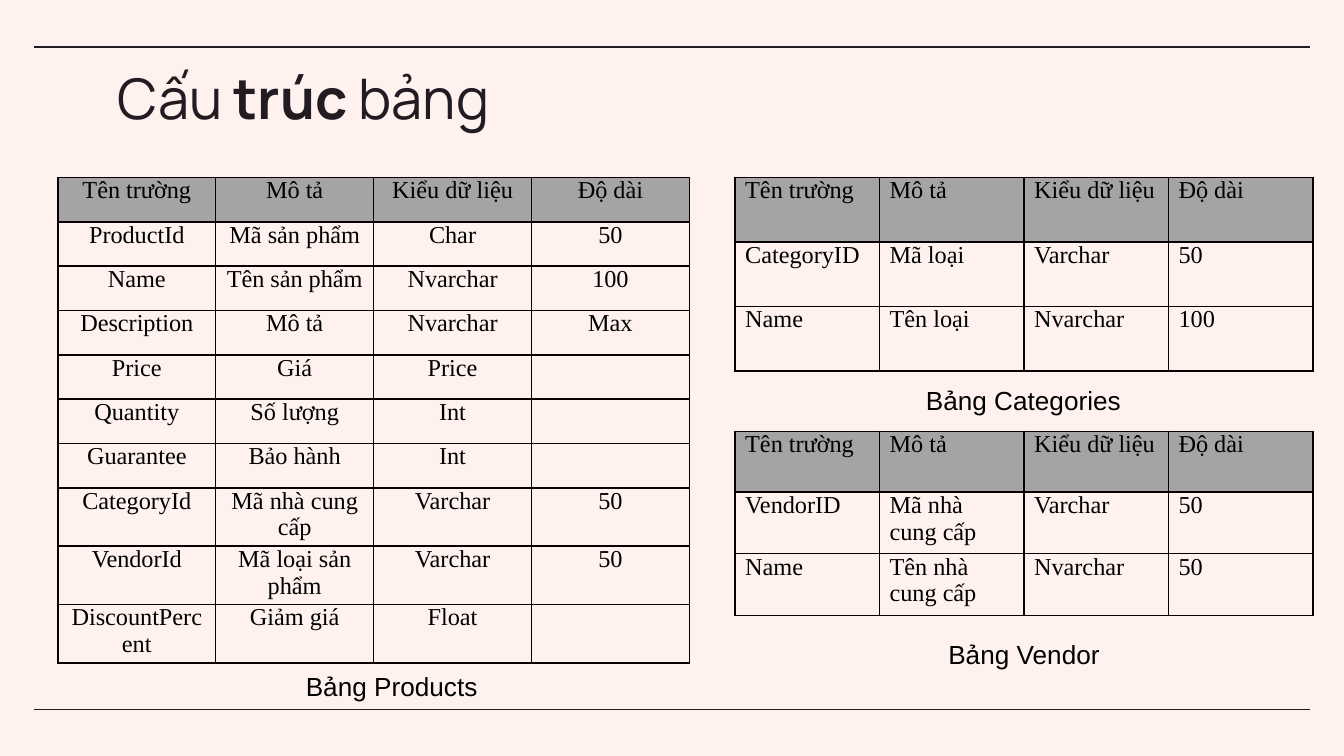
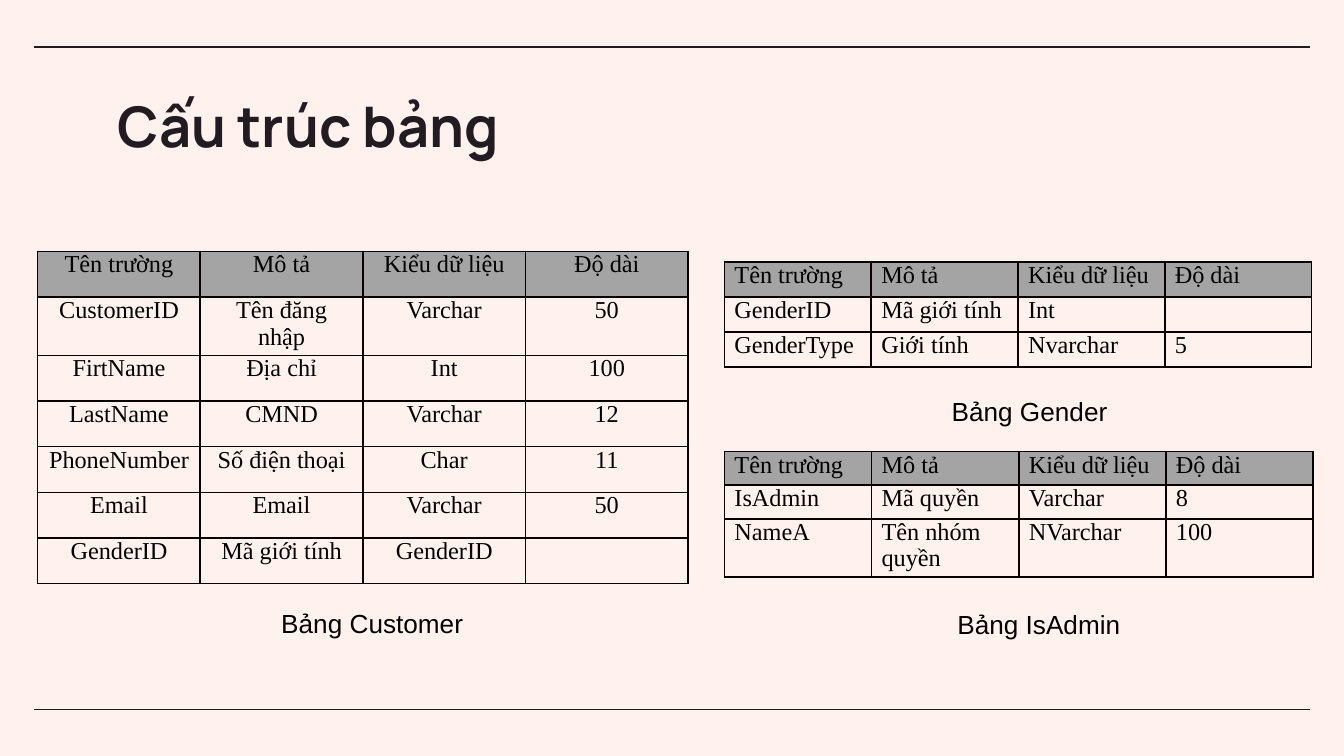
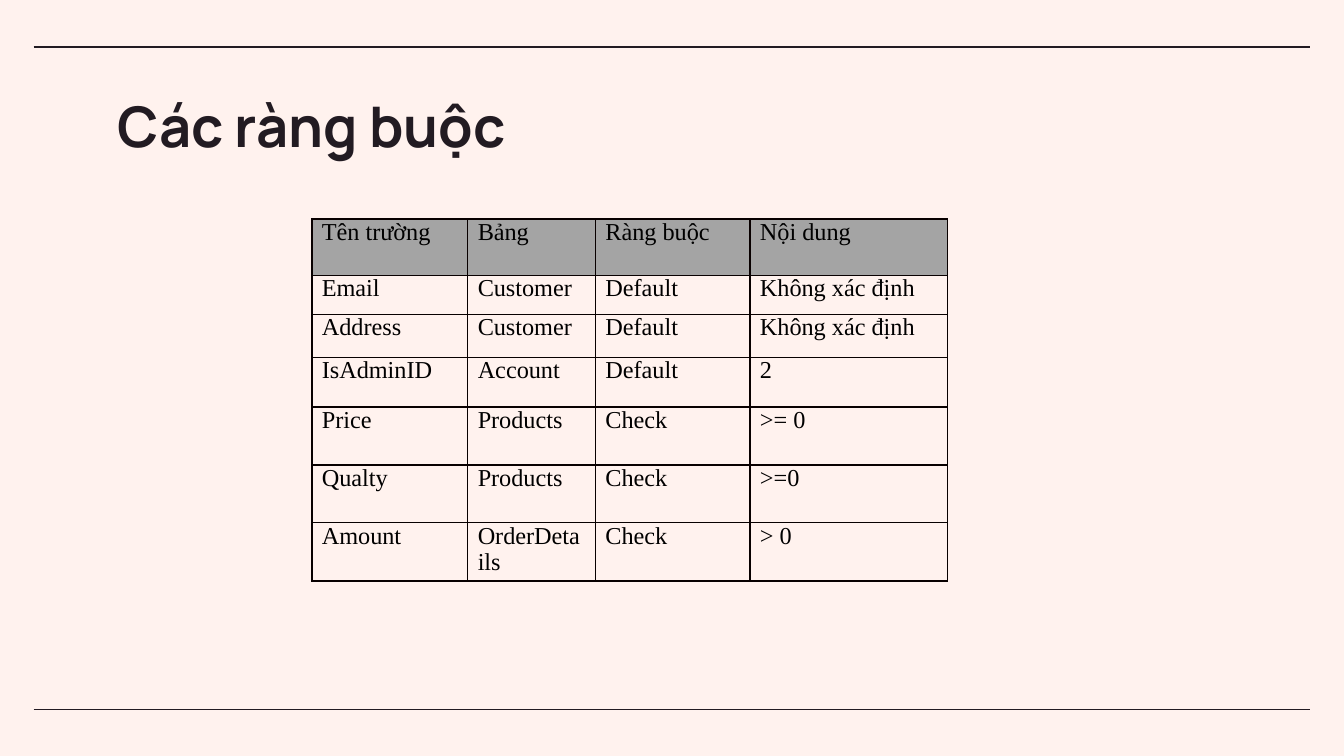
"""Builds three slides that describe the tables and constraints of a shop database."""
from dataclasses import dataclass

from lxml.etree import SubElement
from pptx import Presentation
from pptx.dml.color import RGBColor
from pptx.enum.shapes import MSO_CONNECTOR
from pptx.enum.text import MSO_ANCHOR, MSO_AUTO_SIZE, PP_ALIGN
from pptx.oxml.ns import qn
from pptx.util import Inches, Pt


@dataclass(frozen=True)
class Theme:
    """Colours, fonts and type sizes of the deck."""
    paper: RGBColor = RGBColor.from_string("FFF2EE")
    ink: RGBColor = RGBColor.from_string("221B22")
    black: RGBColor = RGBColor.from_string("000000")
    header: RGBColor = RGBColor.from_string("A4A4A4")
    border: str = "080000"
    title_font: str = "Manrope"
    table_font: str = "Times New Roman"
    caption_font: str = "Arial"
    title_size: int = 30
    table_size: int = 13
    caption_size: int = 14


class SchemaDeck:
    """Holds the theme and the current page, and draws each kind of element."""

    def __init__(self, theme):
        """Open an empty widescreen deck with the shared background."""
        self.theme = theme
        self.deck = Presentation()
        self.deck.slide_width = Inches(10)
        self.deck.slide_height = Inches(10) * 9 // 16
        self.layout = self.deck.slide_layouts[6]
        fill = self.deck.slide_master.background.fill
        fill.solid()
        fill.fore_color.rgb = theme.paper
        self.page = None

    def add_page(self, title_spans, title_top=0.58):
        """Start a page with its title; the first page also sets up the shared rules."""
        self.page = self.deck.slides.add_slide(self.layout)
        if len(self.deck.slides) == 1:
            for height in (0.35, 5.28):
                self.add_shared_rule(height)
        self.add_title(title_spans, title_top)

    def add_shared_rule(self, height):
        """Draw a thin line across the page and hand it to the layout."""
        rule = self.page.shapes.add_connector(
            MSO_CONNECTOR.STRAIGHT, Inches(0.25), Inches(height), Inches(9.75), Inches(height))
        rule.line.color.rgb = self.theme.ink
        rule.line.width = Pt(0.75)
        SubElement(rule.element.spPr, qn("a:effectLst"))
        self.layout.shapes.element.append(rule.element)

    def add_box(self, left, top, width, height):
        """Add a wrapping text box and return its frame."""
        box = self.page.shapes.add_textbox(
            Inches(left), Inches(top), Inches(width), Inches(height))
        box.text_frame.word_wrap = True
        return box.text_frame

    def style_span(self, span, font, size, color, bold=False):
        """Format one run."""
        span.font.name, span.font.size = font, Pt(size)
        span.font.color.rgb, span.font.bold = color, bold

    def add_title(self, spans, top):
        """Write the title from pairs of text and weight."""
        frame = self.add_box(0.78, top, 8.44, 0.63)
        frame.margin_top = frame.margin_bottom = Inches(0.1)
        for text, bold in spans:
            span = frame.paragraphs[0].add_run()
            span.text = text
            self.style_span(span, self.theme.title_font, self.theme.title_size,
                            self.theme.ink, bold)

    def add_caption(self, text, left, top, width):
        """Write a centred table name."""
        frame = self.add_box(left, top, width, 0.34)
        frame.auto_size = MSO_AUTO_SIZE.SHAPE_TO_FIT_TEXT
        frame.text = text
        para = frame.paragraphs[0]
        para.alignment = PP_ALIGN.CENTER
        self.style_span(para.runs[0], self.theme.caption_font,
                        self.theme.caption_size, self.theme.black)

    def add_table(self, left, top, widths, heights, rows, align=PP_ALIGN.LEFT):
        """Add a ruled table whose first row is the header."""
        table = self.page.shapes.add_table(
            len(rows), len(widths), Inches(left), Inches(top),
            Inches(sum(widths)), Inches(sum(heights))).table
        table.horz_banding = False
        for column, width in zip(table.columns, widths):
            column.width = Inches(width)
        for row, height, texts in zip(table.rows, heights, rows):
            row.height = Inches(height)
            for cell, text in zip(row.cells, texts):
                self.fill_cell(cell, text, align, texts is rows[0])

    def fill_cell(self, cell, text, align, is_header):
        """Write, border and fill one cell."""
        cell.margin_left = cell.margin_right = Inches(0.15) // 2
        cell.margin_top = cell.margin_bottom = 0
        cell.vertical_anchor = MSO_ANCHOR.TOP
        cell.text_frame.text = text
        para = cell.text_frame.paragraphs[0]
        para.alignment = align
        for span in para.runs:
            self.style_span(span, self.theme.table_font, self.theme.table_size, self.theme.black)
        if not text:
            SubElement(para._p, qn("a:endParaRPr"), sz=str(self.theme.table_size * 100))
        self.border_cell(cell)
        if is_header:
            cell.fill.solid()
            cell.fill.fore_color.rgb = self.theme.header
        else:
            cell.fill.background()

    def border_cell(self, cell):
        """Draw the four sides of a cell."""
        properties = cell._tc.get_or_add_tcPr()
        for side in ("lnL", "lnR", "lnT", "lnB"):
            line = SubElement(properties, qn(f"a:{side}"), w=str(Pt(1)))
            fill = SubElement(line, qn("a:solidFill"))
            SubElement(fill, qn("a:srgbClr"), val=self.theme.border)


FIELD_HEADER = ("Tên trường", "Mô tả", "Kiểu dữ liệu", "Độ dài")

PRODUCTS = (
    FIELD_HEADER,
    ("ProductId", "Mã sản phẩm", "Char", "50"),
    ("Name", "Tên sản phẩm", "Nvarchar", "100"),
    ("Description", "Mô tả", "Nvarchar", "Max"),
    ("Price", "Giá", "Price", ""),
    ("Quantity", "Số lượng", "Int", ""),
    ("Guarantee", "Bảo hành", "Int", ""),
    ("CategoryId", "Mã nhà cung cấp", "Varchar", "50"),
    ("VendorId", "Mã loại sản phẩm", "Varchar", "50"),
    ("DiscountPercent", "Giảm giá", "Float", ""),
)
CATEGORIES = (
    FIELD_HEADER,
    ("CategoryID", "Mã loại", "Varchar", "50"),
    ("Name", "Tên loại", "Nvarchar", "100"),
)
VENDOR = (
    FIELD_HEADER,
    ("VendorID", "Mã nhà cung cấp", "Varchar", "50"),
    ("Name", "Tên nhà cung cấp", "Nvarchar", "50"),
)
CUSTOMER = (
    FIELD_HEADER,
    ("CustomerID", "Tên đăng nhập", "Varchar", "50"),
    ("FirtName", "Địa chỉ", "Int", "100"),
    ("LastName", "CMND", "Varchar", "12"),
    ("PhoneNumber", "Số điện thoại", "Char", "11"),
    ("Email", "Email", "Varchar", "50"),
    ("GenderID", "Mã giới tính", "GenderID", ""),
)
GENDER = (
    FIELD_HEADER,
    ("GenderID", "Mã giới tính", "Int", ""),
    ("GenderType", "Giới tính", "Nvarchar", "5"),
)
IS_ADMIN = (
    FIELD_HEADER,
    ("IsAdmin", "Mã quyền", "Varchar", "8"),
    ("NameA", "Tên nhóm quyền", "NVarchar", "100"),
)
CONSTRAINTS = (
    ("Tên trường", "Bảng", "Ràng buộc", "Nội dung"),
    ("Email", "Customer", "Default", "Không xác định"),
    ("Address", "Customer", "Default", "Không xác định"),
    ("IsAdminID", "Account", "Default", "2"),
    ("Price", "Products", "Check", ">= 0"),
    ("Qualty", "Products", "Check", ">=0"),
    ("Amount", "OrderDetails", "Check", "> 0"),
)


def equal_columns(width):
    """Split a width into one column per field property."""
    return [width / len(FIELD_HEADER)] * len(FIELD_HEADER)


def main():
    """Build and save the deck."""
    schema = SchemaDeck(Theme())

    schema.add_page([("Cấu ", False), ("trúc ", True), ("bảng", False)], title_top=0.37)
    schema.add_table(0.43, 1.32, equal_columns(4.7), [0.33] * 7 + [0.43] * 3,
                     PRODUCTS, PP_ALIGN.CENTER)
    schema.add_table(5.47, 1.32, equal_columns(4.3), [0.48] * 3, CATEGORIES)
    schema.add_table(5.47, 3.21, equal_columns(4.3), [0.45, 0.46, 0.46], VENDOR)
    schema.add_caption("Bảng Products", 0.98, 4.94, 3.87)
    schema.add_caption("Bảng Categories", 5.47, 2.81, 4.29)
    schema.add_caption("Bảng Vendor", 5.47, 4.7, 4.3)

    schema.add_page([("Cấu trúc bảng", True)])
    schema.add_table(0.28, 1.87, equal_columns(4.84), [0.34, 0.43] + [0.34] * 5,
                     CUSTOMER, PP_ALIGN.CENTER)
    schema.add_table(5.39, 1.95, equal_columns(4.37), [0.26] * 3, GENDER)
    schema.add_table(5.39, 3.36, equal_columns(4.38), [0.25, 0.25, 0.43], IS_ADMIN)
    schema.add_caption("Bảng Customer", 0.43, 4.47, 4.68)
    schema.add_caption("Bảng Gender", 5.32, 2.89, 4.68)
    schema.add_caption("Bảng IsAdmin", 5.39, 4.48, 4.68)

    schema.add_page([("Các ràng buộc", True)])
    schema.add_table(2.32, 1.63, [1.16, 0.95, 1.15, 1.47],
                     [0.42, 0.29, 0.32, 0.37, 0.43, 0.43, 0.42], CONSTRAINTS)

    schema.deck.save("out.pptx")


if __name__ == "__main__":
    main()
